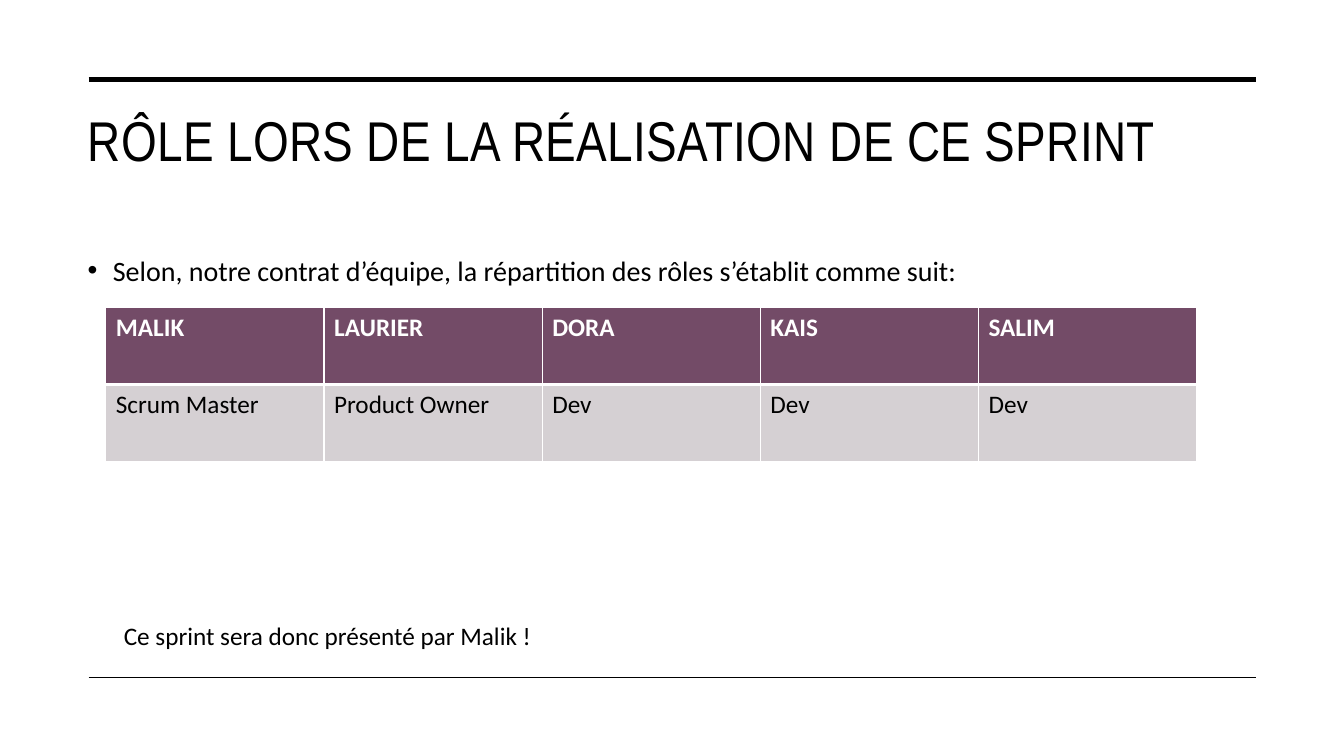
from lxml import etree
from pptx import Presentation
from pptx.dml.color import RGBColor
from pptx.enum.shapes import MSO_CONNECTOR
from pptx.enum.text import MSO_ANCHOR, MSO_AUTO_SIZE, PP_ALIGN
from pptx.oxml.ns import qn
from pptx.util import Inches, Pt

COLORS = {"text": "000000", "header": "734B67", "role": "D5D0D3", "white": "FFFFFF"}
BODY_FONT = "Calibri"
TEAM = [
    ("MALIK", "Scrum Master"),
    ("LAURIER", "Product Owner"),
    ("DORA", "Dev"),
    ("KAIS", "Dev"),
    ("SALIM", "Dev"),
]


def color(name):
    """Return the named colour."""
    return RGBColor.from_string(COLORS[name])


def format_text(paragraph, size, name="text", font=BODY_FONT, bold=False):
    """Format every run of a paragraph."""
    for run in paragraph.runs:
        run.font.size = Pt(size)
        run.font.name = font
        run.font.bold = bold
        run.font.color.rgb = color(name)


def add_rule(slide, left, top, width, weight):
    """Draw a horizontal rule without shadow."""
    rule = slide.shapes.add_connector(
        MSO_CONNECTOR.STRAIGHT, Inches(left), Inches(top), Inches(left + width), Inches(top)
    )
    rule.line.color.rgb = color("text")
    rule.line.width = Pt(weight)
    etree.SubElement(rule._element.spPr, qn("a:effectLst"))


def place_title(slide, left, top, width, height, text):
    """Move and format the title placeholder."""
    title = slide.shapes.title
    title.left, title.top = Inches(left), Inches(top)
    title.width, title.height = Inches(width), Inches(height)
    frame = title.text_frame
    frame.text = text
    frame.word_wrap = True
    frame.auto_size = MSO_AUTO_SIZE.NONE
    frame.vertical_anchor = MSO_ANCHOR.TOP
    paragraph = frame.paragraphs[0]
    paragraph.alignment = PP_ALIGN.LEFT
    format_text(paragraph, 40, font="Arial Narrow")
    paragraph.runs[0].font._element.set("spc", "30")


def add_text(slide, left, top, width, height, text, size):
    """Add a wrapping text box and return its paragraph."""
    box = slide.shapes.add_textbox(Inches(left), Inches(top), Inches(width), Inches(height))
    frame = box.text_frame
    frame.word_wrap = True
    frame.text = text
    format_text(frame.paragraphs[0], size)
    return frame.paragraphs[0]


def add_bullet(paragraph, indent):
    """Give a paragraph a hanging round bullet."""
    properties = paragraph._p.get_or_add_pPr()
    properties.set("marL", str(Inches(indent)))
    properties.set("indent", str(-Inches(indent)))
    etree.SubElement(properties, qn("a:buFont"), typeface="Arial")
    etree.SubElement(properties, qn("a:buChar"), char="•")
    paragraph.line_spacing = 1.1


def set_borders(cell, weights):
    """Draw white cell borders in left, right, top, bottom order."""
    properties = cell._tc.get_or_add_tcPr()
    for position, (side, weight) in enumerate(zip("LRTB", weights)):
        border = etree.Element(qn(f"a:ln{side}"), w=str(Pt(weight)))
        fill = etree.SubElement(border, qn("a:solidFill"))
        etree.SubElement(fill, qn("a:srgbClr"), val=COLORS["white"])
        properties.insert(position, border)


def add_team_table(slide, left, top, width, height):
    """Add the table of members above their roles."""
    rows = list(zip(*TEAM))
    table = slide.shapes.add_table(
        len(rows), len(TEAM), Inches(left), Inches(top), Inches(width), Inches(height)
    ).table
    styles = [("header", "white", True, (1, 1, 1, 3)), ("role", "text", False, (1, 1, 3, 1))]
    for row, (values, style) in enumerate(zip(rows, styles)):
        fill, text_color, bold, weights = style
        for column, value in enumerate(values):
            cell = table.cell(row, column)
            cell.text = value
            cell.fill.solid()
            cell.fill.fore_color.rgb = color(fill)
            format_text(cell.text_frame.paragraphs[0], 18, text_color, bold=bold)
            set_borders(cell, weights)


def build_role_slide(presentation):
    """Build the slide of team roles for the sprint."""
    slide = presentation.slides.add_slide(presentation.slide_layouts[5])
    for top, weight in ((0.79, 3.5), (6.72, 1)):
        add_rule(slide, 0.88, top, 11.58, weight)
    place_title(slide, 0.77, 1, 11.69, 1.43, "RÔLE LORS DE LA RÉALISATION DE CE SPRINT")
    intro = add_text(
        slide, 0.77, 2.43, 11.69, 2.64,
        "Selon, notre contrat d’équipe, la répartition des rôles s’établit comme suit:", 20,
    )
    add_bullet(intro, 0.25)
    add_team_table(slide, 1.05, 3.05, 10.82, 1.53)
    add_text(slide, 1.13, 6.1, 5.96, 0.4, "Ce sprint sera donc présenté par Malik !", 18)


def main():
    """Create and save the presentation."""
    presentation = Presentation()
    presentation.slide_width = Inches(13.33)
    presentation.slide_height = Inches(7.5)
    build_role_slide(presentation)
    presentation.save("out.pptx")


if __name__ == "__main__":
    main()
